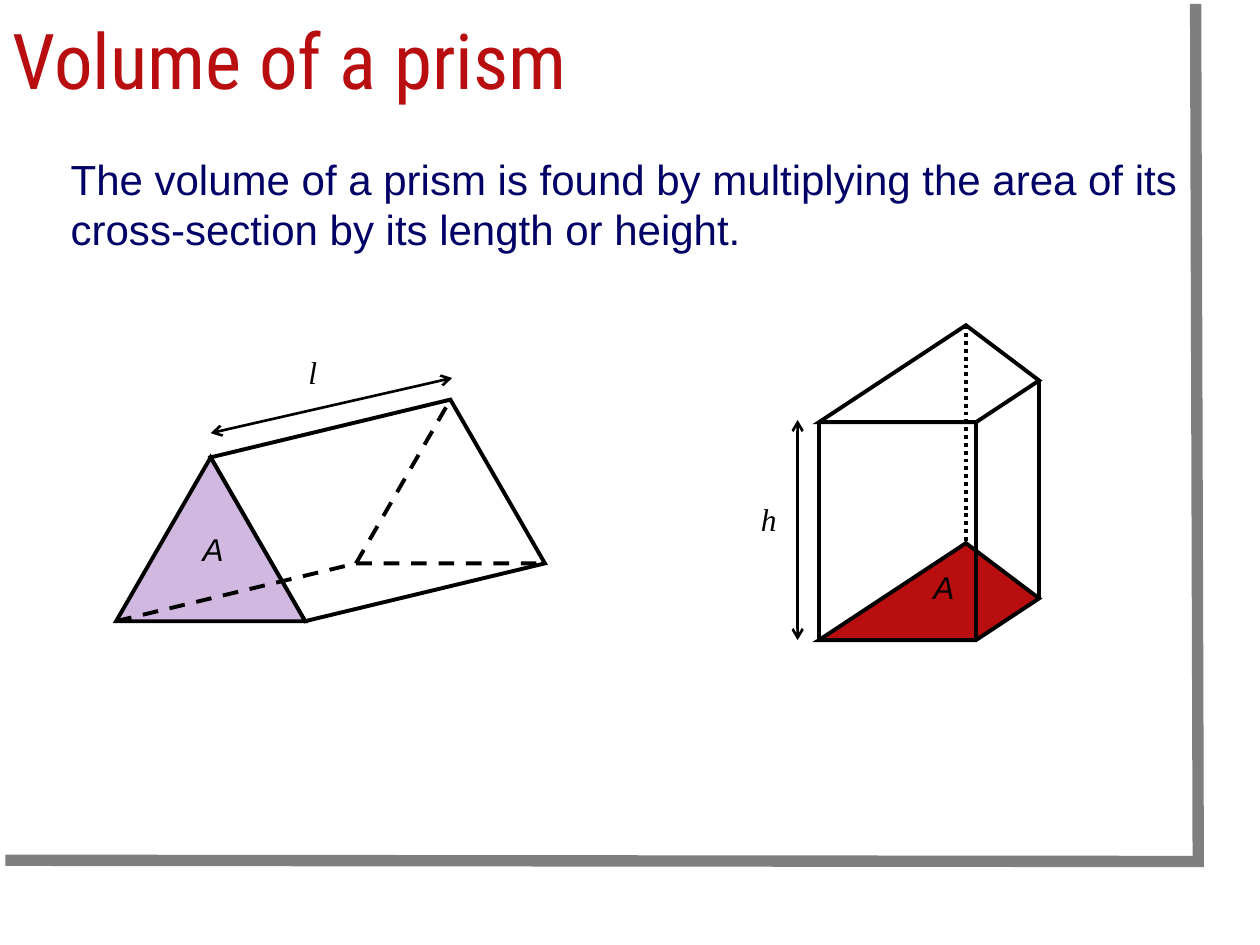
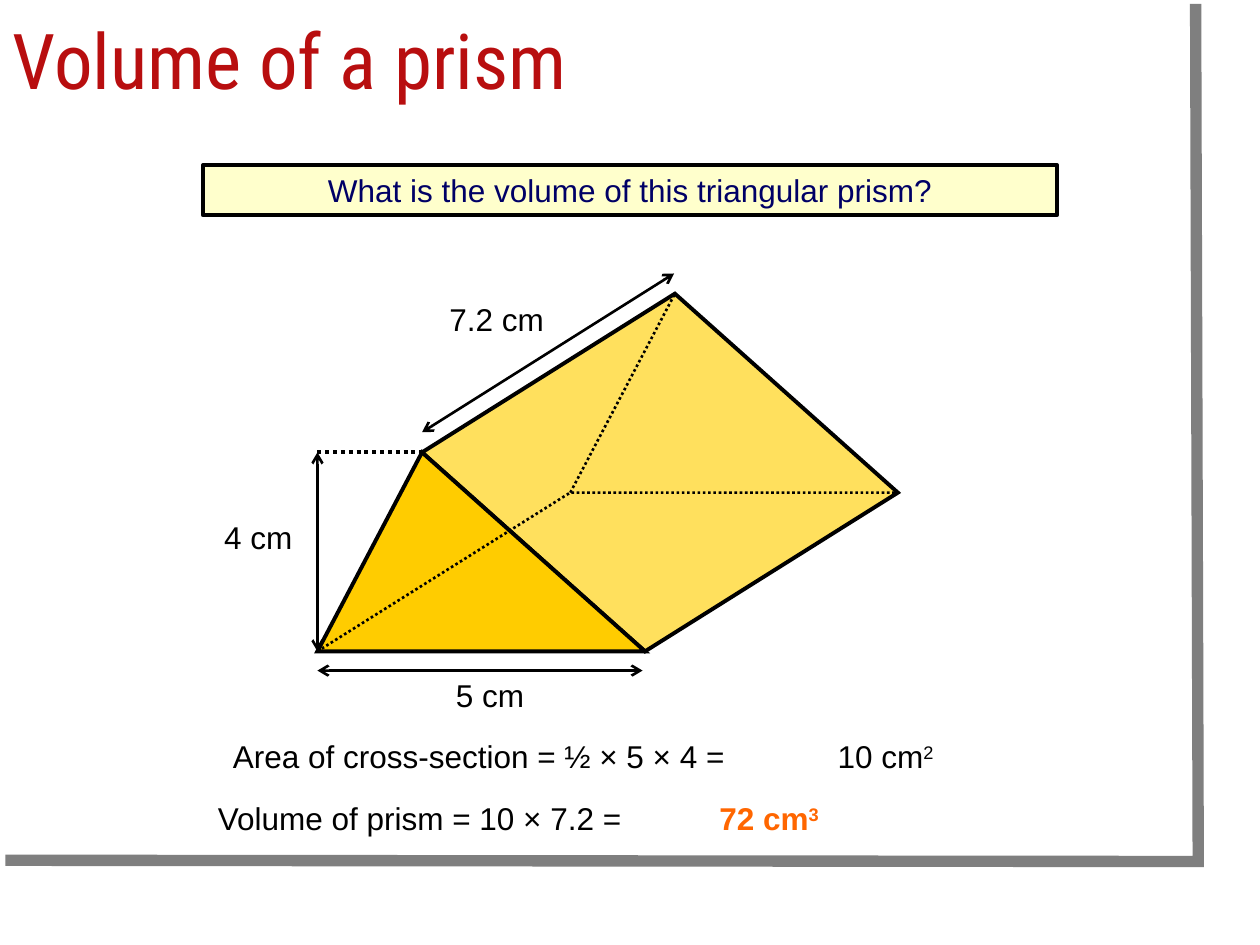
from lxml import etree
from pptx import Presentation
from pptx.dml.color import RGBColor
from pptx.enum.dml import MSO_LINE
from pptx.enum.shapes import MSO_CONNECTOR, MSO_SHAPE
from pptx.enum.text import MSO_ANCHOR, MSO_AUTO_SIZE, PP_ALIGN
from pptx.oxml.ns import qn
from pptx.util import Pt

STRAIGHT = MSO_CONNECTOR.STRAIGHT
RECTANGLE = MSO_SHAPE.RECTANGLE
DASH, DOT = MSO_LINE.DASH, MSO_LINE.ROUND_DOT
MIDDLE, NO_AUTOFIT = MSO_ANCHOR.MIDDLE, MSO_AUTO_SIZE.NONE
LEFT, CENTER = PP_ALIGN.LEFT, PP_ALIGN.CENTER

COLORS = {
    "title": "B80E0F", "text": "000066", "ink": "000000", "frame": "7F7F7F",
    "lilac": "D0B8E0", "red": "B80E0F", "gold": "FFCC00",
    "pale gold": "FFE05D", "cream": "FFFFCC", "answer": "FF6600",
}
EDGE, THIN = 2.25, 1.5
LABEL = {"size": Pt(18), "name": "Arial"}
AREA = {**LABEL, "italic": True}
LENGTH = {**AREA, "name": "Times New Roman"}
BODY = {**LABEL, "size": Pt(24)}
TITLE = {"size": Pt(44), "name": "Roboto Condensed"}
ANSWER = {**LABEL, "bold": True}


def rgb(color):
    return RGBColor.from_string(COLORS[color])


def set_fill(shape, color):
    if color:
        shape.fill.solid()
        shape.fill.fore_color.rgb = rgb(color)
    else:
        shape.fill.background()


def set_line(shape, width, dash=None, color="ink"):
    shape.line.color.rgb = rgb(color)
    shape.line.width = Pt(width)
    if dash:
        shape.line.dash_style = dash


def write(paragraph, text, style, color="ink", superscript=""):
    for part in filter(None, (text, superscript)):
        run = paragraph.add_run()
        run.text = part
        for name, value in style.items():
            setattr(run.font, name, value)
        run.font.color.rgb = rgb(color)
        if part == superscript:
            run.font._element.set("baseline", "30000")


def add_text(slide, box, text, style=LABEL, color="ink", superscript="", wrap=False):
    frame = slide.shapes.add_textbox(*map(Pt, box)).text_frame
    frame.word_wrap = wrap
    write(frame.paragraphs[0], text, style, color, superscript)


def add_label(slide, left, top, width, text, style=LABEL, color="ink", superscript=""):
    add_text(slide, (left, top, width, 29), text, style, color, superscript)


def add_line(slide, start, end, width=EDGE, dash=None):
    line = slide.shapes.add_connector(STRAIGHT, *map(Pt, (*start, *end)))
    set_line(line, width, dash)
    etree.SubElement(line._element.spPr, qn("a:effectLst"))
    return line


def add_measure(slide, start, end):
    """Thin line with an open arrowhead at both ends."""
    outline = add_line(slide, start, end, THIN).line._get_or_add_ln()
    for tag in ("a:headEnd", "a:tailEnd"):
        etree.SubElement(outline, qn(tag), type="arrow")


def add_outline(slide, points, fill=None, width=EDGE, dash=None, color="ink", close=True):
    (first_x, first_y), *rest = points
    builder = slide.shapes.build_freeform(Pt(first_x), Pt(first_y))
    builder.add_line_segments([(Pt(x), Pt(y)) for x, y in rest], close=close)
    shape = builder.convert_to_shape()
    shape.shadow.inherit = False
    set_fill(shape, fill)
    set_line(shape, width, dash, color)
    etree.SubElement(shape.line._get_or_add_ln(), qn("a:miter"), lim="800000")


def moved(points, offset):
    return [(x + offset[0], y + offset[1]) for x, y in points]


def add_lying_prism(slide, front, offset, front_fill, side_fill, hidden):
    """Triangular prism; front is (apex, left, right), hidden is (width, dash)."""
    apex, left, right = front
    back_apex, back_left, back_right = moved(front, offset)
    add_outline(slide, [apex, back_apex, back_right, right], side_fill)
    add_outline(slide, front, front_fill)
    add_outline(slide, [left, back_left, back_right], None, *hidden, close=False)
    add_line(slide, back_left, back_apex, *hidden)


def add_standing_prism(slide, base, height, base_fill):
    """Upright prism whose last base corner is at the back."""
    top = moved(base, (0, -height))
    add_outline(slide, base, base_fill)
    add_outline(slide, top)
    for upper, lower in zip(top, base):
        add_line(slide, upper, lower, dash=DOT if lower == base[-1] else None)


def add_banner(slide, box, text):
    banner = slide.shapes.add_shape(RECTANGLE, *map(Pt, box))
    banner.shadow.inherit = False
    set_fill(banner, "cream")
    set_line(banner, EDGE)
    paragraph = banner.text_frame.paragraphs[0]
    paragraph.alignment = CENTER
    write(paragraph, text, LABEL, "text")


def new_slide(presentation, title):
    slide = presentation.slides.add_slide(presentation.slide_layouts[5])
    placeholder = slide.shapes.title
    box = {"left": 0, "top": 12, "width": 580, "height": 50}
    for name, value in box.items():
        setattr(placeholder, name, Pt(value))
    frame = placeholder.text_frame
    frame.auto_size = NO_AUTOFIT
    frame.vertical_anchor = MIDDLE
    paragraph = frame.paragraphs[0]
    paragraph.alignment = LEFT
    paragraph.line_spacing = 0.9
    write(paragraph, title, TITLE, "title")
    add_outline(slide, [(683.2, 2.2), (684.7, 492.3), (3, 491.6)],
                width=6.5, color="frame", close=False)
    return slide


def build_rule(slide):
    add_text(slide, (33.3, 84.2, 651, 65),
             "The volume of a prism is found by multiplying the area of its "
             "cross-section by its length or height.", BODY, "text", wrap=True)

    triangle = [(120.4, 261.4), (66.4, 355), (174.4, 355)]
    add_lying_prism(slide, triangle, (137, -33), "lilac", None, (EDGE, DASH))
    add_measure(slide, (120.4, 247.5), (258.4, 216))
    add_label(slide, 108.7, 299.5, 26, "A", AREA)
    add_label(slide, 169.2, 198, 19.5, "l", LENGTH)

    base = [(468, 365.8), (557.8, 365.8), (593.8, 342), (552, 310.4)]
    add_standing_prism(slide, base, 124.5, "red")
    add_measure(slide, (455.8, 240), (455.8, 365.8))
    add_label(slide, 526.3, 321, 26, "A", AREA)
    add_label(slide, 427.7, 282.3, 23, "h", LENGTH)


def build_example(slide):
    add_banner(slide, (116, 94.3, 488, 28.8),
               "What is the volume of this triangular prism?")

    apex, left, right = triangle = [(241.2, 258.5), (181.4, 372.2), (368.6, 372.2)]
    add_lying_prism(slide, triangle, (144.5, -90.7), "gold", "pale gold", (THIN, DOT))
    corner = (left[0], apex[1])
    add_line(slide, corner, apex, dash=DOT)
    add_measure(slide, left, corner)
    add_measure(slide, *moved([apex, (385.2, 167.8)], (0, -11.5)))
    add_measure(slide, *moved([left, (367.2, right[1])], (0, 11)))

    add_label(slide, 253.4, 383, 60, "5 cm")
    add_label(slide, 121, 292.3, 60, "4 cm")
    add_label(slide, 249.8, 167.8, 75, "7.2 cm")
    add_label(slide, 126, 417.6, 320, "Area of cross-section = ½ × 5 × 4 =")
    add_label(slide, 471.6, 417.6, 80, "10 cm", superscript="2")
    add_label(slide, 117.4, 453, 270, "Volume of prism = 10 × 7.2 =")
    add_label(slide, 404, 453, 80, "72 cm", ANSWER, "answer", "3")


def main():
    presentation = Presentation()
    presentation.slide_width, presentation.slide_height = Pt(720), Pt(540)
    for build in (build_rule, build_example):
        build(new_slide(presentation, "Volume of a prism"))
    presentation.save("out.pptx")


if __name__ == "__main__":
    main()
